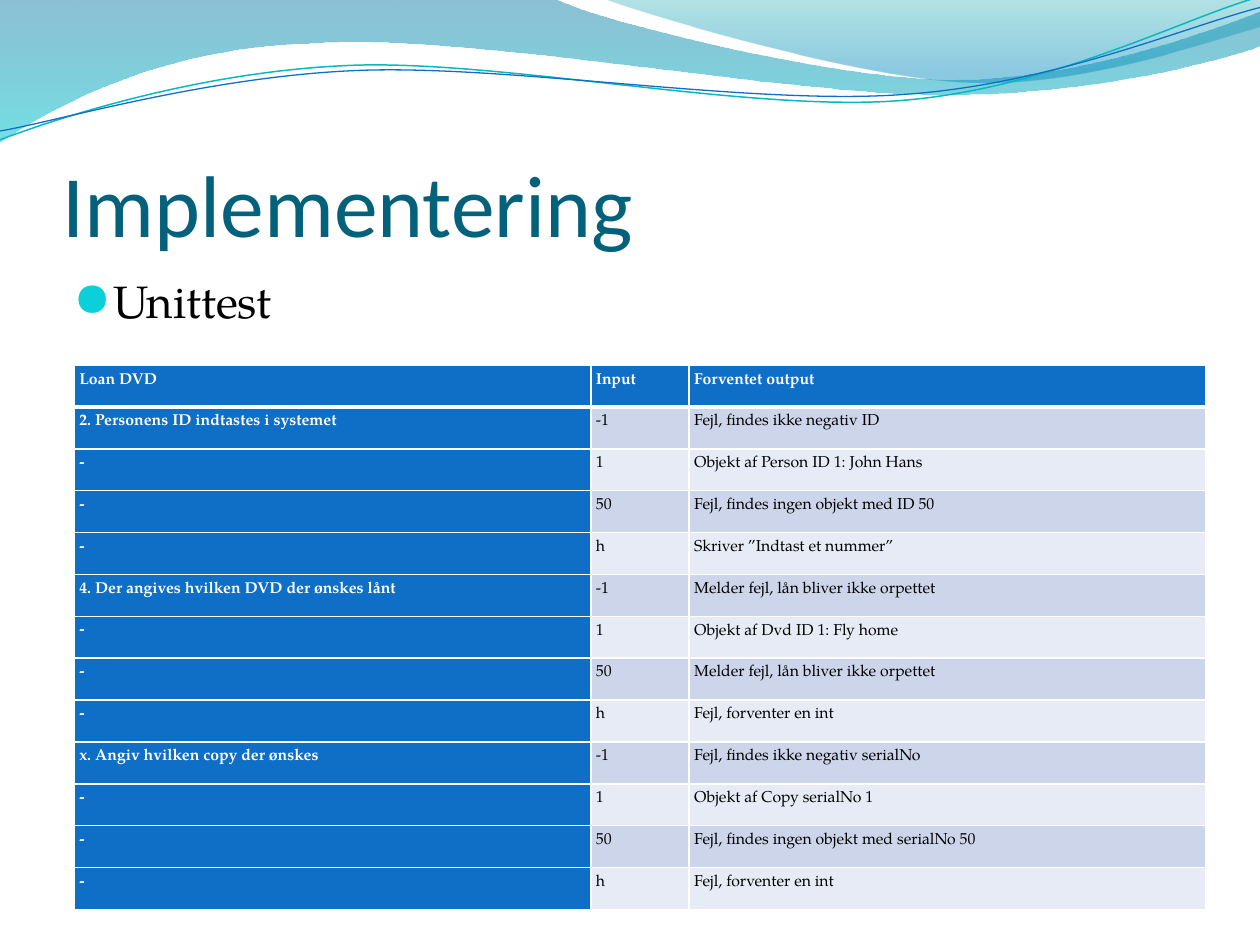
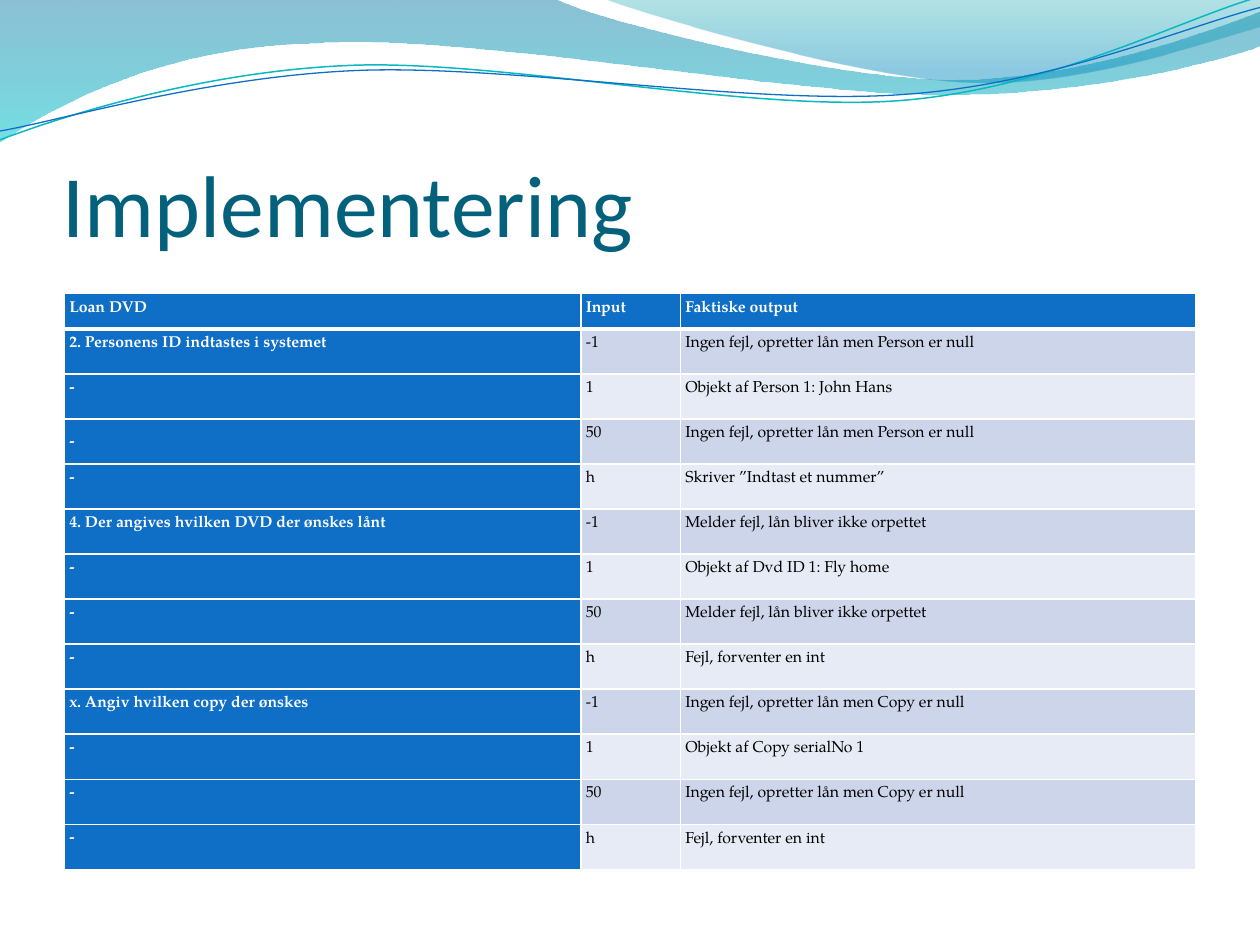
from math import cos, radians, sin

from lxml import etree
from pptx import Presentation
from pptx.dml.color import RGBColor
from pptx.enum.text import MSO_ANCHOR
from pptx.oxml.ns import qn
from pptx.util import Inches, Pt

TOP, MIDDLE, BOTTOM = MSO_ANCHOR.TOP, MSO_ANCHOR.MIDDLE, MSO_ANCHOR.BOTTOM
TITLE_FONT, BODY_FONT = "Calibri", "TeX Gyre Pagella"

COLORS = {
    "title": "04617B", "text": "000000", "white": "FFFFFF", "bullet": "0BD0D9",
    "header": "0F6FC6", "band_dark": "CCD5EA", "band_light": "E7EBF5",
    "teal_line": "0AB8BF", "blue_line": "0F6FC6",
    "wave_top": "0074A1", "wave_bottom": "00C6CF",
    "crest_top": "00A1A9", "crest_bottom": "008BBF",
}

# Each outline is its segment kinds (L line, C curve) and its points in inches.
WAVE = ("LCCLCCCL", [
    (0, 0), (4.4, -0.01), (4.76, 0.17), (6.64, 0.63), (7.58, 0.63),
    (8.53, 0.63), (9.58, 0.26), (10, 0.09), (10.01, 0.36),
    (9.83, 0.44), (8.7, 0.76), (7.46, 0.75), (6.22, 0.75), (3.82, 0.28),
    (2.57, 0.34), (1.29, 0.36), (0.46, 0.83), (-0.01, 1.13), (0, 0)])
CREST = ("CCLL", [
    (4.79, -0.01), (5.09, 0.11), (6.82, 0.62), (7.69, 0.65),
    (8.56, 0.69), (9.61, 0.32), (10, 0.21), (10, 0), (4.79, -0.01)])
TEAL_CURVE = ("CCC", [
    (0, 1.11), (0.48, 0.93), (1.58, 0.57), (2.77, 0.52), (3.95, 0.47),
    (5.93, 0.89), (7.13, 0.8), (8.33, 0.71), (9.38, 0.15), (9.98, -0.02)])
BLUE_CURVE = ("CCC", [
    (0, 1.04), (0.47, 0.96), (1.64, 0.61), (2.83, 0.56), (4.03, 0.51),
    (5.97, 0.84), (7.17, 0.75), (8.36, 0.67), (9.41, 0.21), (10, 0.06)])
CURVE_TILT = 2.7
CURVE_CENTRE = (5, 0.58)

STEPS = ["2. Personens ID indtastes i systemet",
         "4. Der angives hvilken DVD der ønskes lånt",
         "x. Angiv hvilken copy der ønskes"]
INPUTS = ["-1", "1", "50", "h"]

EXPECTED = [
    "Fejl, findes ikke negativ ID",
    "Objekt af Person ID 1: John Hans",
    "Fejl, findes ingen objekt med ID 50",
    "Skriver ”Indtast et nummer”",
    "Melder fejl, lån bliver ikke orpettet",
    "Objekt af Dvd ID 1: Fly home",
    "Melder fejl, lån bliver ikke orpettet",
    "Fejl, forventer en int",
    "Fejl, findes ikke negativ serialNo",
    "Objekt af Copy serialNo 1",
    "Fejl, findes ingen objekt med serialNo 50",
    "Fejl, forventer en int",
]
ACTUAL = [
    "Ingen fejl, opretter lån men Person er null",
    "Objekt af Person 1: John Hans",
    "Ingen fejl, opretter lån men Person er null",
    "Skriver ”Indtast et nummer”",
    "Melder fejl, lån bliver ikke orpettet",
    "Objekt af Dvd ID 1: Fly home",
    "Melder fejl, lån bliver ikke orpettet",
    "Fejl, forventer en int",
    "Ingen fejl, opretter lån men Copy er null",
    "Objekt af Copy serialNo 1",
    "Ingen fejl, opretter lån men Copy er null",
    "Fejl, forventer en int",
]


def rgb(name):
    """Return the named colour."""
    return RGBColor.from_string(COLORS[name])


def untilt(points):
    """Turn points clockwise by the tilt that the shape gets back later."""
    a, (cx, cy) = radians(CURVE_TILT), CURVE_CENTRE
    return [(cx + (x - cx) * cos(a) - (y - cy) * sin(a),
             cy + (x - cx) * sin(a) + (y - cy) * cos(a)) for x, y in points]


def test_rows(output_title, outputs):
    """Combine steps, inputs and outputs into table rows."""
    cases = [(step if i == 0 else "-", value)
             for step in STEPS for i, value in enumerate(INPUTS)]
    return [("Loan DVD", "Input", output_title)] + [
        (*case, output) for case, output in zip(cases, outputs)]


class Deck:
    """Holds the presentation, its style and the current slide."""

    def __init__(self):
        """Start a 10 by 7.5 inch presentation."""
        self.prs = Presentation()
        self.prs.slide_width, self.prs.slide_height = Inches(10), Inches(7.5)
        self.s = None

    def add_slide(self, title):
        """Add a slide with the wave band and a title."""
        self.s = self.prs.slides.add_slide(self.prs.slide_layouts[6])
        self.wave(WAVE, [(0, "wave_top", 45), (1, "wave_bottom", 55)])
        self.wave(CREST, [(0, "crest_top", 30), (0.8, "crest_bottom", 45)])
        self.curve(TEAL_CURVE, "teal_line", 0.85)
        self.curve(BLUE_CURVE, "blue_line", 0.75)
        tf = self.text_box(0.5, 0.77, 9, 1.25, BOTTOM)
        tf.margin_left = tf.margin_right = tf.margin_bottom = 0
        self.set_text(tf, title, TITLE_FONT, 50, "title")

    def outline(self, kinds, points, closed):
        """Build a freeform and merge the points of each curve segment."""
        pts = [(Inches(x), Inches(y)) for x, y in points]
        builder = self.s.shapes.build_freeform(*pts[0])
        builder.add_line_segments(pts[1:], close=closed)
        sp = builder.convert_to_shape()
        sp.shadow.inherit = False
        segments = iter(list(sp._element.iter(qn("a:lnTo"))))
        for kind in kinds:
            first = next(segments)
            if kind == "C":
                first.tag = qn("a:cubicBezTo")
                for _ in range(2):
                    extra = next(segments)
                    first.append(extra[0])
                    extra.getparent().remove(extra)
        return sp

    def wave(self, shape, stops):
        """Draw a filled wave with a translucent vertical gradient."""
        sp = self.outline(*shape, closed=True)
        sp.line.fill.background()
        sp.fill.gradient()
        sp.fill.gradient_angle = 270
        for stop, (position, color, _) in zip(sp.fill.gradient_stops, stops):
            stop.position = position
            stop.color.rgb = rgb(color)
        grad = sp._element.spPr.find(qn("a:gradFill"))
        for clr, (_, _, opacity) in zip(grad.iter(qn("a:srgbClr")), stops):
            etree.SubElement(clr, qn("a:alpha"), val=str(opacity * 1000))

    def curve(self, shape, color, width):
        """Draw a thin tilted curve."""
        kinds, points = shape
        sp = self.outline(kinds, untilt(points), closed=False)
        sp.rotation = -CURVE_TILT
        sp.fill.background()
        sp.line.color.rgb = rgb(color)
        sp.line.width = Pt(width)

    def text_box(self, left, top, width, height, anchor=TOP):
        """Add a wrapping text box and return its text frame."""
        sp = self.s.shapes.add_textbox(*map(Inches, (left, top, width, height)))
        tf = sp.text_frame
        tf.word_wrap = True
        tf.vertical_anchor = anchor
        return tf

    def set_text(self, tf, text, font, size, color, bold=False):
        """Set and format a single paragraph, and return it."""
        tf.text = text
        p = tf.paragraphs[0]
        f = p.runs[0].font
        f.name, f.size, f.bold = font, Pt(size), bold
        f.color.rgb = rgb(color)
        return p

    def bullet(self, text):
        """Add the bulleted body text."""
        tf = self.text_box(0.5, 2.12, 9, 4.8)
        p = self.set_text(tf, text, BODY_FONT, 26, "text")
        p.space_before = Pt(5.2)
        pPr = p._p.get_or_add_pPr()
        pPr.set("marL", str(Inches(0.3)))
        pPr.set("indent", str(Inches(-0.3)))
        clr = etree.SubElement(pPr, qn("a:buClr"))
        etree.SubElement(clr, qn("a:srgbClr"), val=COLORS["bullet"])
        etree.SubElement(pPr, qn("a:buSzPct"), val="95000")
        etree.SubElement(pPr, qn("a:buFont"), typeface=BODY_FONT)
        etree.SubElement(pPr, qn("a:buChar"), char="●")

    def borders(self, cell, top, bottom):
        """Give a cell white borders."""
        tcPr = cell._tc.get_or_add_tcPr()
        for side, width in (("L", 1), ("R", 1), ("T", top), ("B", bottom)):
            ln = etree.SubElement(tcPr, qn("a:ln" + side), w=str(Pt(width)))
            fill = etree.SubElement(ln, qn("a:solidFill"))
            etree.SubElement(fill, qn("a:srgbClr"), val=COLORS["white"])

    def table(self, left, top, height, cols, header_height, rows, middle=()):
        """Add a test table; cells listed in middle are centred vertically."""
        frame = self.s.shapes.add_table(
            len(rows), len(cols), *map(Inches, (left, top, sum(cols), height)))
        tbl = frame.table
        tbl.first_col = True
        for col, width in zip(tbl.columns, cols):
            col.width = Inches(width)
        row_height = (height - header_height) / (len(rows) - 1)
        for i, row in enumerate(rows):
            tbl.rows[i].height = Inches(row_height if i else header_height)
            for j, text in enumerate(row):
                cell = tbl.cell(i, j)
                head = i == 0 or j == 0
                band = "band_dark" if i % 2 else "band_light"
                self.borders(cell, 3 if i == 1 else 1, 3 if i == 0 else 1)
                cell.fill.solid()
                cell.fill.fore_color.rgb = rgb("header" if head else band)
                cell.margin_left = cell.margin_right = Inches(0.04)
                cell.margin_top = cell.margin_bottom = Inches(0.04)
                cell.vertical_anchor = MIDDLE if (i, j) in middle else TOP
                p = self.set_text(cell.text_frame, text, BODY_FONT, 9,
                                  "white" if head else "text", head)
                p.line_spacing = 1.15
                p.space_after = Pt(10)


def main():
    """Build both slides and save them."""
    deck = Deck()
    deck.add_slide("Implementering")
    deck.bullet("Unittest")
    deck.table(0.59, 2.9, 4.32, (4.1, 0.78, 4.1), 0.33,
               test_rows("Forventet output", EXPECTED))

    deck.add_slide("Implementering")
    deck.table(0.51, 2.33, 4.57, (4.1, 0.79, 4.09), 0.28,
               test_rows("Faktiske output", ACTUAL), middle=[(3, 0)])
    deck.prs.save("out.pptx")


main()
